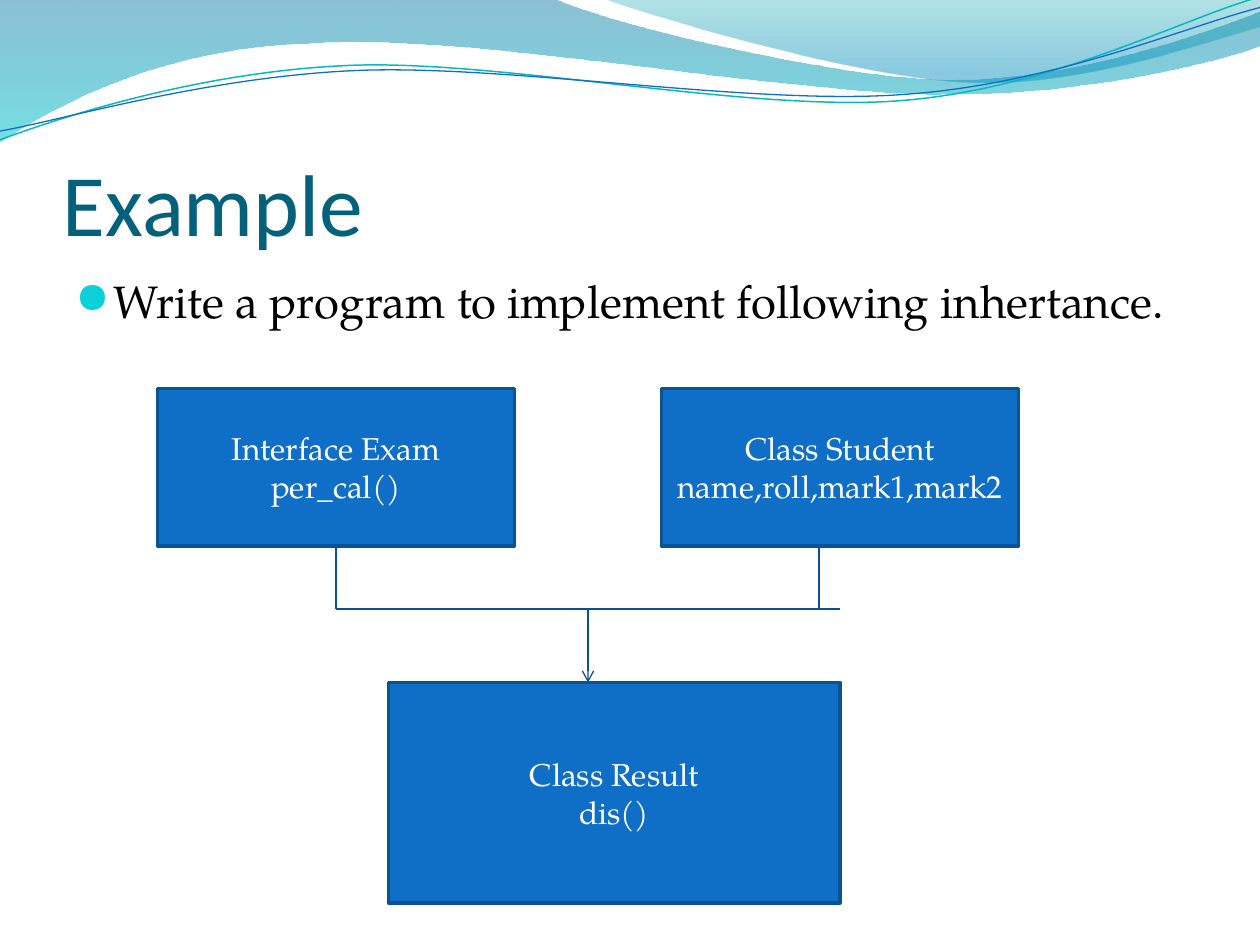
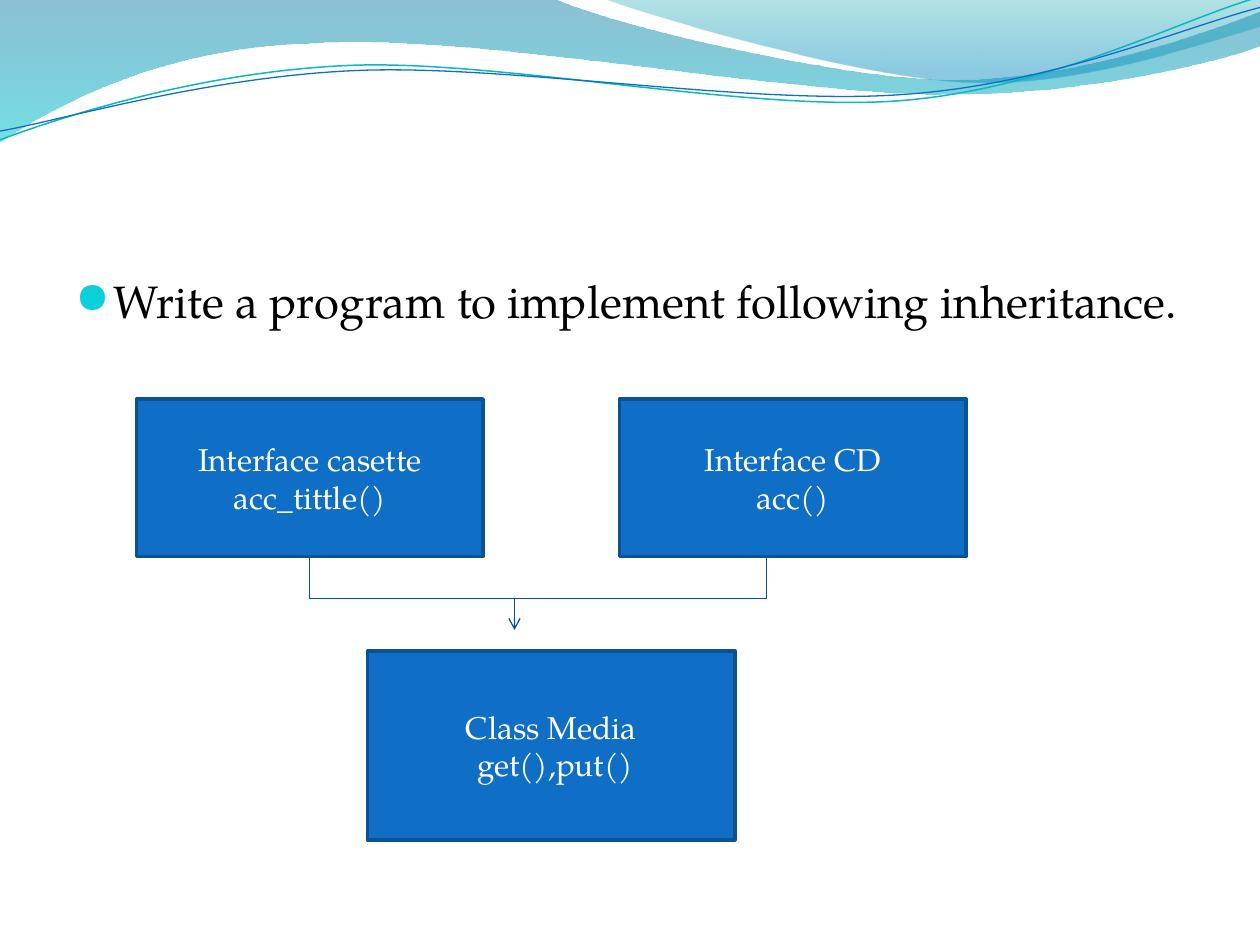
"""Build two slides of inheritance exercises under a shared wave header."""
import math

import pptx
import pptx.dml.color
import pptx.enum.shapes
import pptx.enum.text
import pptx.oxml.ns
import pptx.util

SLIDES = [
    {
        "title": "Example",
        "task": "Write a program to implement following inhertance.",
        "boxes": [
            (("Interface Exam", "per_cal()"), (90, 222, 204, 90)),
            (("Class Student", "name,roll,mark1,mark2"), (378, 222, 204, 90)),
            (("Class Result", "dis()"), (222, 390, 258, 126)),
        ],
        "bar_y": 348, "bar_end": 480, "right_stem": 468, "arrow": (336, 390),
    },
    {
        "title": None,
        "task": "Write a program to implement following inheritance.",
        "boxes": [
            (("Interface casette", "acc_tittle()"), (78, 228, 198, 90)),
            (("Interface CD", "acc()"), (354, 228, 198, 90)),
            (("Class Media", " get(),put()"), (210, 372, 210, 108)),
        ],
        "bar_y": 342, "bar_end": 438, "right_stem": 438, "arrow": (294, 360),
    },
]

COLORS = {
    "title": "04617B", "text": "000000", "bullet": "0BD0D9", "white": "FFFFFF",
    "box": "0F6FC6", "box_line": "0B5292", "link": "095295",
    "wave_blue": "0074A1", "wave_cyan": "00C6CF",
    "crest_teal": "00A1A9", "crest_blue": "008BBF", "thread_teal": "0AB8BF",
}
HEAD_FONT, BODY_FONT, BULLET_FONT = "Calibri", "TeX Gyre Pagella", "OpenSymbol"

BANDS = [
    ((0, 0), [
        [(316.8, -0.7)],
        [(342.7, 12.2), (478.1, 45.4), (545.8, 45.4)],
        [(614.2, 45.4), (689.8, 18.7), (720, 6.5)],
        [(720.7, 25.9)],
        [(707.8, 31.7), (626.4, 54.7), (537.1, 54)],
        [(447.8, 54), (275, 20.2), (185, 24.5)],
        [(92.9, 25.9), (33.1, 59.8), (-0.7, 81.4)],
        [(0, 0)]],
     [(0, "wave_blue", 45), (1, "wave_cyan", 55)]),
    ((344.9, -0.7), [
        [(366.5, 7.9), (491, 44.6), (553.7, 46.8)],
        [(616.3, 49.7), (691.9, 23), (720, 15.1)],
        [(720, 0)],
        [(344.9, -0.7)]],
     [(0, "crest_teal", 30), (0.8, "crest_blue", 45)]),
]
THREADS = [
    ((0, 79.9), [
        [(34.6, 67), (113.8, 41), (199.4, 37.4)],
        [(284.4, 33.8), (427, 64.1), (513.4, 57.6)],
        [(599.8, 51.1), (675.4, 10.8), (718.6, -1.4)]],
     (359.3, 41.4), "thread_teal", 0.85),
    ((0, 74.9), [
        [(33.8, 69.1), (118.1, 43.9), (203.8, 40.3)],
        [(290.2, 36.7), (429.8, 60.5), (516.2, 54)],
        [(601.9, 48.2), (677.5, 15.1), (720, 4.3)]],
     (359.6, 42.5), "box", 0.75),
]
THREAD_TILT = 2.7

Pt = pptx.util.Pt
qn = pptx.oxml.ns.qn


def rgb(name):
    return pptx.dml.color.RGBColor.from_string(COLORS[name])


def sub(parent, tag, **attrs):
    el = parent.makeelement(qn(tag), attrs)
    parent.append(el)
    return el


def set_line(sp, color, width):
    sp.line.color.rgb = rgb(color)
    sp.line.width = Pt(width)


def turn(point, pivot):
    a = math.radians(THREAD_TILT)
    x, y = point[0] - pivot[0], point[1] - pivot[1]
    return (pivot[0] + x * math.cos(a) - y * math.sin(a),
            pivot[1] + x * math.sin(a) + y * math.cos(a))


def add_outline(shapes, start, segments, close):
    """Draw segments of one point as lines and of three points as curves."""
    fb = shapes.build_freeform(Pt(start[0]), Pt(start[1]))
    fb.add_line_segments([(Pt(x), Pt(y)) for seg in segments for x, y in seg], close)
    sp = fb.convert_to_shape()
    sp.shadow.inherit = False
    steps = iter(list(sp.element.iter(qn("a:lnTo"))))
    for seg in segments:
        group = [next(steps) for _ in seg]
        if len(group) == 3:
            curve = group[0].makeelement(qn("a:cubicBezTo"), {})
            group[0].addprevious(curve)
            for step in group:
                curve.append(step[0])
                step.getparent().remove(step)
    return sp


def add_waves(slide):
    for start, segments, stops in BANDS:
        sp = add_outline(slide.shapes, start, segments, True)
        sp.line.fill.background()
        sp.fill.gradient()
        sp.fill.gradient_angle = 270
        for stop, (pos, color, _) in zip(sp.fill.gradient_stops, stops):
            stop.position = pos
            stop.color.rgb = rgb(color)
        for el, (_, _, alpha) in zip(sp.element.iter(qn("a:gs")), stops):
            sub(el[0], "a:alpha", val=str(alpha * 1000))
    group = slide.shapes.add_group_shape()
    for start, segments, pivot, color, width in THREADS:
        level = [[turn(pt, pivot) for pt in seg] for seg in segments]
        sp = add_outline(group.shapes, turn(start, pivot), level, False)
        sp.rotation = 360 - THREAD_TILT
        sp.fill.background()
        set_line(sp, color, width)


def add_run(p, text, size, color, font=BODY_FONT):
    r = p.add_run()
    r.text = text
    r.font.size = Pt(size)
    r.font.name = font
    r.font.color.rgb = rgb(color)


def add_text(slide, left, top, width, height):
    tf = slide.shapes.add_textbox(Pt(left), Pt(top), Pt(width), Pt(height)).text_frame
    tf.word_wrap = True
    return tf


def add_title(slide, text):
    tf = add_text(slide, 36, 55, 648, 90)
    tf.margin_left = tf.margin_right = tf.margin_bottom = 0
    tf.vertical_anchor = pptx.enum.text.MSO_ANCHOR.BOTTOM
    add_run(tf.paragraphs[0], text, 50, "title", HEAD_FONT)


def add_task(slide, text):
    p = add_text(slide, 36, 152.5, 648, 345.6).paragraphs[0]
    p.space_before = Pt(5.2)
    pPr = p._p.get_or_add_pPr()
    pPr.set("marL", str(Pt(21.6)))
    pPr.set("indent", str(-Pt(21.6)))
    sub(sub(pPr, "a:buClr"), "a:srgbClr", val=COLORS["bullet"])
    sub(pPr, "a:buSzPct", val="95000")
    sub(pPr, "a:buFont", typeface=BULLET_FONT)
    sub(pPr, "a:buChar", char="●")
    add_run(p, text, 26, "text")


def add_box(slide, lines, place):
    sp = slide.shapes.add_shape(pptx.enum.shapes.MSO_SHAPE.RECTANGLE, *map(Pt, place))
    sp.shadow.inherit = False
    sp.fill.solid()
    sp.fill.fore_color.rgb = rgb("box")
    set_line(sp, "box_line", 2)
    tf = sp.text_frame
    tf.word_wrap = True
    tf.vertical_anchor = pptx.enum.text.MSO_ANCHOR.MIDDLE
    for i, line in enumerate(lines):
        p = tf.add_paragraph() if i else tf.paragraphs[0]
        p.alignment = pptx.enum.text.PP_ALIGN.CENTER
        add_run(p, line, 18, "white")


def add_link(slide, x1, y1, x2, y2, arrow=False):
    cn = slide.shapes.add_connector(
        pptx.enum.shapes.MSO_CONNECTOR.STRAIGHT, Pt(x1), Pt(y1), Pt(x2), Pt(y2))
    set_line(cn, "link", 0.75)
    if arrow:
        sub(cn.line._get_or_add_ln(), "a:tailEnd", type="arrow")
    sub(cn.element.spPr, "a:effectLst")


def add_diagram(slide, data):
    for lines, place in data["boxes"]:
        add_box(slide, lines, place)
    left, top, width, height = data["boxes"][0][1]
    stem_x, bottom, bar_y = left + width / 2, top + height, data["bar_y"]
    for x in (stem_x, data["right_stem"]):
        add_link(slide, x, bottom, x, bar_y)
    add_link(slide, stem_x, bar_y, data["bar_end"], bar_y)
    arrow_x, tip_y = data["arrow"]
    add_link(slide, arrow_x, bar_y, arrow_x, tip_y, arrow=True)


def main():
    prs = pptx.Presentation()
    prs.slide_width, prs.slide_height = Pt(720), Pt(540)
    for data in SLIDES:
        slide = prs.slides.add_slide(prs.slide_layouts[6])
        add_waves(slide)
        if data["title"]:
            add_title(slide, data["title"])
        add_task(slide, data["task"])
        add_diagram(slide, data)
    prs.save("out.pptx")


if __name__ == "__main__":
    main()
